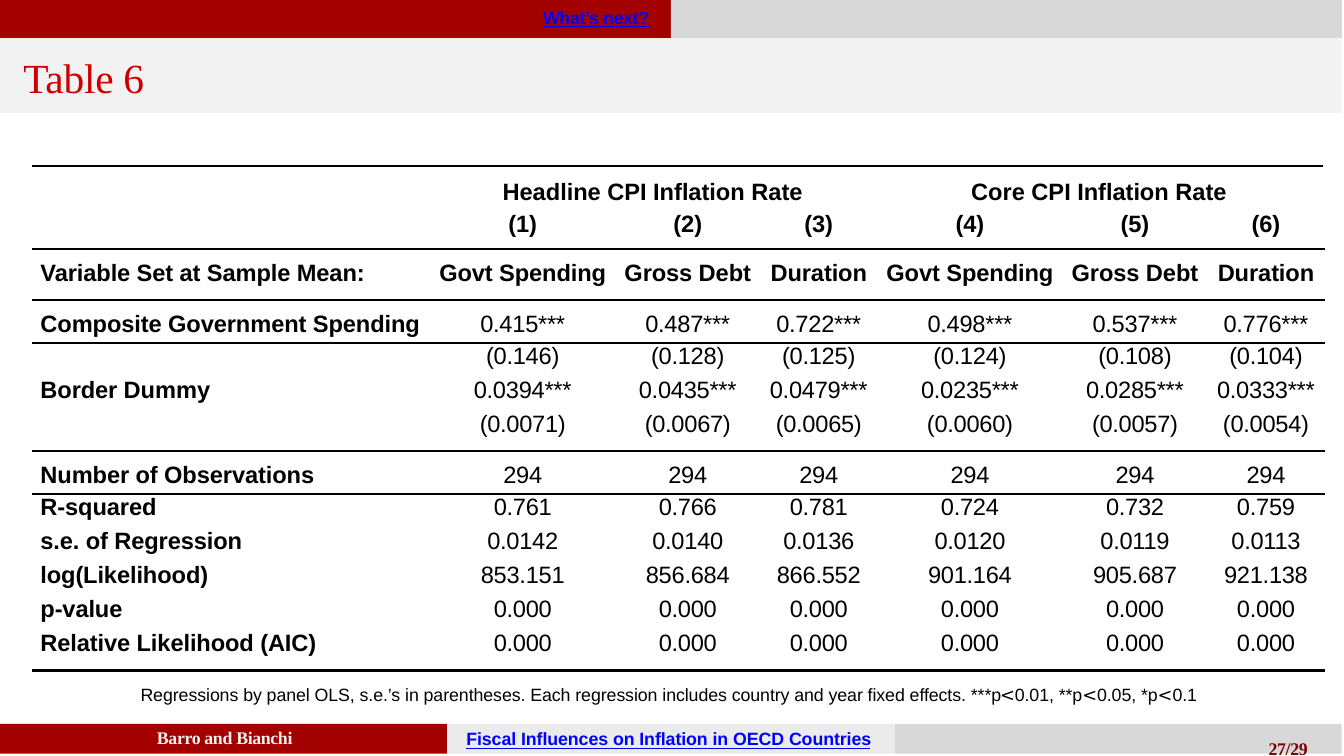
from lxml.etree import SubElement
from pptx import Presentation
from pptx.dml.color import RGBColor
from pptx.enum.shapes import MSO_CONNECTOR, MSO_SHAPE
from pptx.enum.text import MSO_ANCHOR, PP_ALIGN
from pptx.oxml.ns import qn
from pptx.util import Inches, Pt


def color(hex_value):
    return RGBColor.from_string(hex_value)


def write(paragraph, text, size, hex_value="000000", spacing=0, **font_values):
    """Add a run; spacing is the letter spacing in hundredths of a point."""
    run = paragraph.add_run()
    run.text = text
    run.font.size = Pt(size)
    run.font.color.rgb = color(hex_value)
    for name, value in ({"name": "Arial"} | font_values).items():
        setattr(run.font, name, value)
    run.font._element.set("spc", str(spacing))


presentation = Presentation()
presentation.slide_width = Inches(6.31)
presentation.slide_height = Inches(3.55)
slide = presentation.slides.add_slide(presentation.slide_layouts[5])
shapes = slide.shapes

# Header and footer bands
BANDS = [
    (0, 0, 3.15, 0.18, "A30000"),
    (3.15, 0, 3.15, 0.18, "D8D8D8"),
    (0, 0.18, 6.3, 0.35, "F2F2F2"),
    (0, 3.4, 2.1, 0.14, "A30000"),
    (2.1, 3.4, 2.1, 0.14, "EBEBEB"),
    (4.2, 3.4, 2.1, 0.14, "D8D8D8"),
]
for left, top, width, height, fill in BANDS:
    band = shapes.add_shape(MSO_SHAPE.RECTANGLE, Inches(left), Inches(top),
                            Inches(width), Inches(height))
    band.shadow.inherit = False
    band.fill.solid()
    band.fill.fore_color.rgb = color(fill)
    band.line.fill.background()

# Title, moved in front of its band
title = shapes.title
shapes._spTree.append(title._element)
title.left, title.top = Inches(0.1), Inches(0.23)
title.width, title.height = Inches(5.87), Inches(0.24)
title_frame = title.text_frame
TITLE_FORMAT = {
    "margin_left": Inches(0.01), "margin_top": Inches(0.02),
    "margin_right": 0, "margin_bottom": 0,
    "vertical_anchor": MSO_ANCHOR.MIDDLE,
}
for name, value in TITLE_FORMAT.items():
    setattr(title_frame, name, value)
title_frame.paragraphs[0].alignment = PP_ALIGN.LEFT
write(title_frame.paragraphs[0], "Table 6", 14, "CC0000", -10,
      name="Times New Roman", bold=False)

# Rule above the table
top_rule = shapes.add_connector(MSO_CONNECTOR.STRAIGHT, Inches(0.15), Inches(0.78),
                                Inches(6.21), Inches(0.78))
top_rule.line.color.rgb = color("000000")
top_rule.line.width = Pt(0.87)
SubElement(top_rule._element.spPr, qn("a:effectLst"))

# Regression table
COLUMN_WIDTHS = [1.87] + [0.87, 0.68, 0.55] * 2
MEASURES = ["Govt Spending", "Gross Debt", "Duration"]
ROWS = [
    ["", "(1)", "(2)", "(3)", "(4)", "(5)", "(6)"],
    ["Variable Set at Sample Mean:"] + MEASURES * 2,
    ["Composite Government Spending", "0.415***", "0.487***", "0.722***",
     "0.498***", "0.537***", "0.776***"],
    ["", "(0.146)", "(0.128)", "(0.125)", "(0.124)", "(0.108)", "(0.104)"],
    ["Border Dummy", "0.0394***", "0.0435***", "0.0479***",
     "0.0235***", "0.0285***", "0.0333***"],
    ["", "(0.0071)", "(0.0067)", "(0.0065)", "(0.0060)", "(0.0057)", "(0.0054)"],
    ["Number of Observations"] + ["294"] * 6,
    ["R-squared", "0.761", "0.766", "0.781", "0.724", "0.732", "0.759"],
    ["s.e. of Regression", "0.0142", "0.0140", "0.0136", "0.0120", "0.0119", "0.0113"],
    ["log(Likelihood)", "853.151", "856.684", "866.552", "901.164", "905.687", "921.138"],
    ["p-value"] + ["0.000"] * 6,
    ["Relative Likelihood (AIC)"] + ["0.000"] * 6,
]
ROW_HEIGHTS = [0.18, 0.24, 0.2, 0.16, 0.16, 0.19, 0.2, 0.16, 0.16, 0.16, 0.16, 0.19]
RULES_BELOW = {0: 0.75, 1: 0.75, 2: 0.75, 5: 0.75, 6: 0.75, 11: 1}
SPACED_ROWS = (1, 2, 6)
HEADER_ROWS = (0, 1)
NO_STYLE = "{2D5ABB26-0587-4C30-8999-92F81FD0307C}"

table_frame = shapes.add_table(len(ROWS), len(COLUMN_WIDTHS), Inches(0.15), Inches(0.99),
                               Inches(sum(COLUMN_WIDTHS)), Inches(sum(ROW_HEIGHTS)))
table = table_frame.table
table.first_row = table.horz_banding = False
for style in table_frame._element.iter(qn("a:tableStyleId")):
    style.text = NO_STYLE
for column, width in zip(table.columns, COLUMN_WIDTHS):
    column.width = Inches(width)

for row_index, values in enumerate(ROWS):
    table.rows[row_index].height = Inches(ROW_HEIGHTS[row_index])
    spaced = row_index in SPACED_ROWS
    for column_index, value in enumerate(values):
        is_label = column_index == 0
        cell = table.cell(row_index, column_index)
        cell.margin_left = Inches(0.04 if is_label else 0)
        cell.margin_top = Inches(0.05 if spaced else 0)
        cell.margin_right = cell.margin_bottom = 0
        paragraph = cell.text_frame.paragraphs[0]
        paragraph.alignment = PP_ALIGN.LEFT if is_label else PP_ALIGN.CENTER
        paragraph.space_before = Pt(3.4 if spaced else 0.2)
        if row_index == 0:
            paragraph.line_spacing = Pt(9.2)
        if value:
            is_bold = is_label or row_index in HEADER_ROWS
            write(paragraph, value, 8, spacing=-5 if is_bold else -10, bold=is_bold)
        else:
            SubElement(paragraph._p, qn("a:endParaRPr"), sz="800")
        if row_index in RULES_BELOW:
            border = SubElement(cell._tc.get_or_add_tcPr(), qn("a:lnB"),
                                w=str(Pt(RULES_BELOW[row_index])))
            border_fill = SubElement(border, qn("a:solidFill"))
            SubElement(border_fill, qn("a:srgbClr"), val="000000")
        cell.fill.background()

# Captions, note and footer texts
LINK = {"size": 6, "hex_value": "0000FF", "bold": True, "underline": True}
HEADING = {"size": 8, "bold": True, "spacing": -2}
FOOTER = {"size": 6, "bold": True, "spacing": -10, "name": "Times New Roman"}
NOTE = ("Regressions by panel OLS, s.e.’s in parentheses. Each regression includes "
        "country and year fixed effects. ***p<0.01, **p<0.05, *p<0.1")
TOP, MIDDLE = MSO_ANCHOR.TOP, MSO_ANCHOR.MIDDLE
LEFT, CENTER, RIGHT = PP_ALIGN.LEFT, PP_ALIGN.CENTER, PP_ALIGN.RIGHT
TEXTS = [
    (2.54, 0.02, 0.54, 0.13, TOP, LEFT, "What’s next?", LINK | {"spacing": -10}),
    (2.35, 0.82, 1.44, 0.16, TOP, LEFT, "Headline CPI Inflation Rate", HEADING),
    (4.55, 0.82, 1.23, 0.16, TOP, LEFT, "Core CPI Inflation Rate", HEADING),
    (0.65, 3.2, 5.01, 0.13, TOP, LEFT, NOTE, {"size": 6, "spacing": -4}),
    (0.68, 3.41, 0.74, 0.1, MIDDLE, CENTER, "Barro and Bianchi",
     FOOTER | {"hex_value": "F2F2F2"}),
    (2.18, 3.41, 1.94, 0.13, TOP, LEFT, "Fiscal Influences on Inflation in OECD Countries",
     LINK | {"spacing": -3}),
    (5.88, 3.41, 0.26, 0.2, MIDDLE, RIGHT, "27/29", FOOTER | {"hex_value": "7A0000"}),
]
for left, top, width, height, anchor, alignment, text, font_format in TEXTS:
    frame = shapes.add_textbox(Inches(left), Inches(top),
                               Inches(width), Inches(height)).text_frame
    frame_format = {
        "word_wrap": True, "vertical_anchor": anchor,
        "margin_left": Inches(0.01), "margin_top": Inches(0.01),
        "margin_right": 0, "margin_bottom": 0,
    }
    for name, value in frame_format.items():
        setattr(frame, name, value)
    paragraph = frame.paragraphs[0]
    paragraph.alignment = alignment
    paragraph.space_before = Pt(0.9)
    for part_index, part in enumerate(text.split("<")):
        if part_index:
            write(paragraph, "<", **font_format | {"name": "DejaVu Sans", "italic": True})
        write(paragraph, part, **font_format)

presentation.save("out.pptx")
